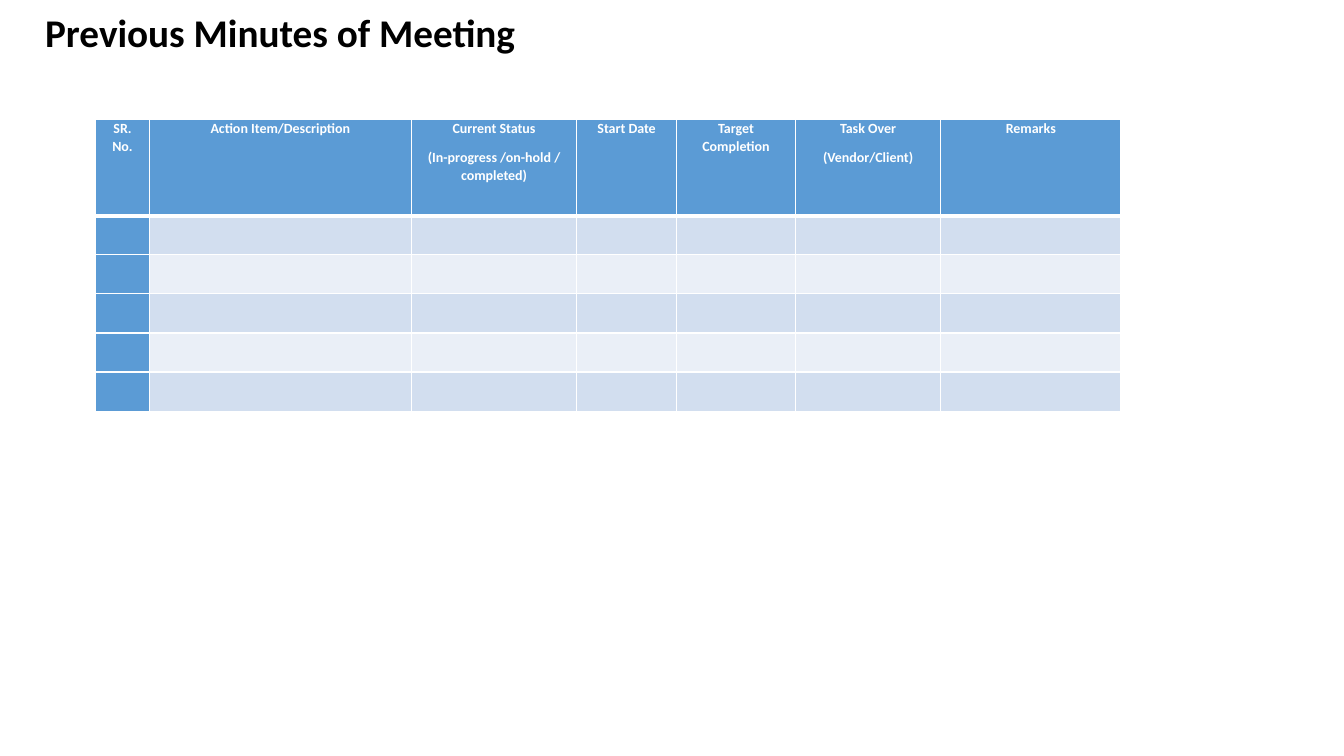
from lxml.etree import SubElement
from pptx import Presentation
from pptx.dml.color import RGBColor
from pptx.enum.text import MSO_AUTO_SIZE as AutoSize, PP_ALIGN as Align
from pptx.oxml.ns import qn
from pptx.util import Inches, Pt

BLACK = RGBColor(0x00, 0x00, 0x00)
WHITE = RGBColor(0xFF, 0xFF, 0xFF)
BLUE = RGBColor(0x5B, 0x9B, 0xD5)
BANDS = [RGBColor(0xD2, 0xDE, 0xEF), RGBColor(0xEA, 0xEF, 0xF7)]
FONT = "Calibri"

# Heading paragraphs and width of each column
COLUMNS = [
    (["SR. No."], 0.53),
    (["Action Item/Description"], 2.6),
    (["Current Status", "(In-progress /on-hold / completed)"], 1.64),
    (["Start Date"], 0.99),
    (["Target Completion"], 1.18),
    (["Task Over", "(Vendor/Client)"], 1.44),
    (["Remarks"], 1.79),
]
HEADER_HEIGHT = 0.96
BODY_ROWS = 5


def write(tf, lines, size, color, align=None, spacing=None, after=None):
    """Fill a text frame with one bold paragraph per line."""
    for i, line in enumerate(lines):
        p = tf.paragraphs[0] if i == 0 else tf.add_paragraph()
        p.alignment, p.line_spacing, p.space_after = align, spacing, after
        r = p.add_run()
        r.text = line
        r.font.name, r.font.size, r.font.bold = FONT, Pt(size), True
        r.font.color.rgb = color


def style_cell(cell, fill, top=1, bottom=1):
    """Set the margins, white borders (widths in points) and fill of a cell."""
    cell.margin_left = cell.margin_right = Inches(0.07)
    cell.margin_top = cell.margin_bottom = 0
    tcPr = cell._tc.get_or_add_tcPr()
    for side, width in (("L", 1), ("R", 1), ("T", top), ("B", bottom)):
        ln = SubElement(tcPr, qn(f"a:ln{side}"), w=str(Pt(width)))
        solid = SubElement(ln, qn("a:solidFill"))
        SubElement(solid, qn("a:srgbClr"), val=str(WHITE))
    cell.fill.solid()
    cell.fill.fore_color.rgb = fill


def add_title(s, x, y, w, h):
    tf = s.shapes.add_textbox(Inches(x), Inches(y), Inches(w), Inches(h)).text_frame
    tf.word_wrap = True
    tf.auto_size = AutoSize.SHAPE_TO_FIT_TEXT
    write(tf, ["Previous Minutes of Meeting"], 28, BLACK)


def add_minutes_table(s, x, y, w, h):
    table = s.shapes.add_table(BODY_ROWS + 1, len(COLUMNS), Inches(x), Inches(y),
                               Inches(w), Inches(h)).table
    # Column widths share out the box; body rows split what the header leaves
    total = sum(width for _, width in COLUMNS)
    for col, (_, width) in zip(table.columns, COLUMNS):
        col.width = Inches(w * width / total)
    for i, row in enumerate(table.rows):
        row.height = Inches((h - HEADER_HEIGHT) / BODY_ROWS if i else HEADER_HEIGHT)

    # Header row
    for c, (lines, _) in enumerate(COLUMNS):
        cell = table.cell(0, c)
        style_cell(cell, BLUE, bottom=3)
        write(cell.text_frame, lines, 10, WHITE, align=Align.CENTER,
              spacing=1.07, after=Pt(8))

    # Empty banded rows with a blue number column
    for r in range(1, BODY_ROWS + 1):
        for c in range(len(COLUMNS)):
            fill = BANDS[(r - 1) % 2] if c else BLUE
            style_cell(table.cell(r, c), fill, top=3 if r == 1 else 1)


def main():
    prs = Presentation()
    prs.slide_width, prs.slide_height = Inches(13.33), Inches(7.5)
    s = prs.slides.add_slide(prs.slide_layouts[6])
    add_title(s, 0.35, 0.03, 5.22, 0.57)
    add_minutes_table(s, 0.95, 1.18, 10.17, 2.9)
    prs.save("out.pptx")


if __name__ == "__main__":
    main()
